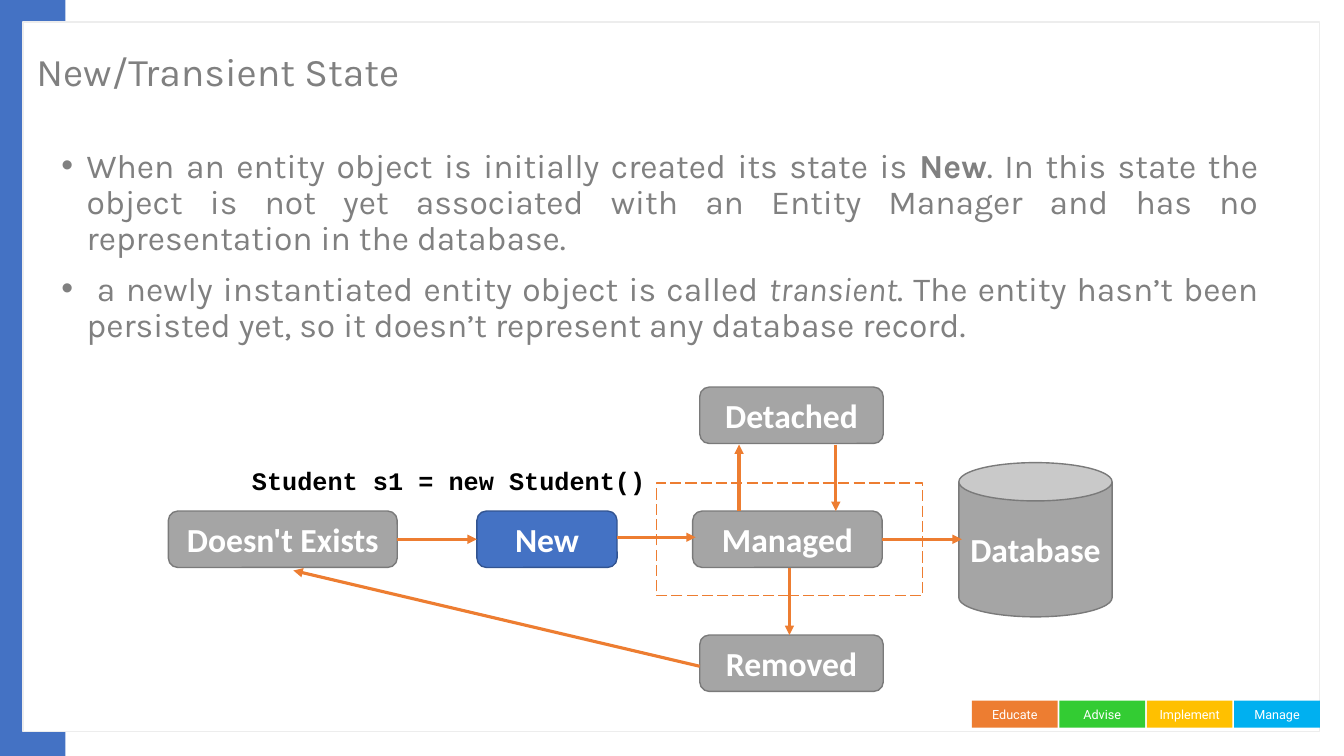
"""Build the New/Transient State slide with its entity life-cycle diagram."""
from typing import NamedTuple, Optional

from lxml import etree
from pptx import Presentation, util as u
from pptx.dml.color import RGBColor
from pptx.enum import dml, shapes, text
from pptx.oxml.ns import qn

BLUE, ORANGE, GRAY, WHITE = "4472C4", "ED7D31", "A5A5A5", "FFFFFF"
GRAY_LINE, TEXT_GRAY = "7A7A7A", "808080"
RECT = shapes.MSO_SHAPE.RECTANGLE
ROUND = shapes.MSO_SHAPE.ROUNDED_RECTANGLE
CAN = shapes.MSO_SHAPE.CAN
LEFT, RIGHT = 1, 3


class Box(NamedTuple):
    left: float
    top: float
    width: float
    height: float
    fill: str
    line: Optional[str] = None
    label: str = ""
    kind: int = RECT
    font: str = "Calibri"
    size: float = 24
    bold: bool = True


class Arrow(NamedTuple):
    start: tuple
    end: tuple
    source: str = ""
    target: str = ""


class Span(NamedTuple):
    text: str
    bold: bool = False
    italic: bool = False


def rgb(value: str) -> RGBColor:
    """Turn a hex string into a colour."""
    return RGBColor.from_string(value)


def set_font(p, name: str, size: float, color: str, bold: bool = False) -> None:
    """Format a whole paragraph."""
    p.font.name, p.font.size, p.font.bold = name, u.Pt(size), bold
    p.font.color.rgb = rgb(color)


def place(sp, left: float, top: float, width: float, height: float) -> None:
    """Move and size a placeholder."""
    sp.left, sp.top = u.Inches(left), u.Inches(top)
    sp.width, sp.height = u.Inches(width), u.Inches(height)


def add_box(s, box: Box):
    """Draw one box with its optional outline and label."""
    sp = s.shapes.add_shape(box.kind, *map(u.Inches, box[:4]))
    sp.shadow.inherit = False
    sp.fill.solid()
    sp.fill.fore_color.rgb = rgb(box.fill)
    if box.line:
        sp.line.color.rgb = rgb(box.line)
        sp.line.width = u.Pt(1)
    else:
        sp.line.fill.background()
    if box.label:
        tf = sp.text_frame
        tf.margin_left = tf.margin_right = 0
        tf.word_wrap = True
        tf.vertical_anchor = text.MSO_ANCHOR.MIDDLE
        p = tf.paragraphs[0]
        p.text = box.label
        p.alignment = text.PP_ALIGN.CENTER
        set_font(p, box.font, box.size, WHITE, box.bold)
    return sp


def add_arrow(s, arrow: Arrow, states: dict) -> None:
    """Draw one arrow, joined to the states it names."""
    c = s.shapes.add_connector(shapes.MSO_CONNECTOR.STRAIGHT,
                               *map(u.Inches, arrow.start + arrow.end))
    if arrow.source:
        c.begin_connect(states[arrow.source], RIGHT)
    if arrow.target:
        c.end_connect(states[arrow.target], LEFT)
    c.line.color.rgb = rgb(ORANGE)
    c.line.width = u.Pt(2.25)
    etree.SubElement(c.line._get_or_add_ln(), qn("a:tailEnd"), type="triangle")
    etree.SubElement(c._element.spPr, qn("a:effectLst"))


def add_bullet(p, spans: list) -> None:
    """Fill one justified bullet paragraph."""
    for span in spans:
        r = p.add_run()
        r.text = span.text
        if span.bold:
            r.font.bold = True
        if span.italic:
            r.font.italic = True
    p.alignment = text.PP_ALIGN.JUSTIFY
    p.line_spacing, p.space_before = 0.9, u.Pt(10)
    set_font(p, "Karla", 24, TEXT_GRAY)
    pPr = p._p.get_or_add_pPr()
    pPr.set("marL", str(u.Inches(0.25)))
    pPr.set("indent", str(u.Inches(-0.25)))
    font = etree.Element(qn("a:buFont"), typeface="Arial")
    bullet = etree.Element(qn("a:buChar"), char="•")
    pPr.find(qn("a:defRPr")).addprevious(font)
    font.addnext(bullet)


TAGS = [("Educate", ORANGE), ("Advise", "33CC33"), ("Implement", "FFC000"), ("Manage", "00B0F0")]
FRAME = [Box(0, 0, 0.65, 7.5, BLUE), Box(0.23, 0.22, 12.86, 7.04, WHITE, "EDEDED")] + [
    Box(9.64 + i * 0.867, 6.95, 0.85, 0.27, color, None, label, RECT, "Roboto", 9, False)
    for i, (label, color) in enumerate(TAGS)]
BULLETS = [
    [Span("When an entity object is initially created its state is "), Span("New", bold=True),
     Span(". In this state the object is not yet associated with an Entity Manager "
          "and has no representation in the database. ")],
    [Span(" a newly instantiated entity object is called "), Span("transient", italic=True),
     Span(". The entity hasn’t been persisted yet, so it doesn’t represent any database record.")],
]
STATES = [
    Box(6.87, 5.07, 1.88, 0.56, GRAY, GRAY_LINE, "Managed", ROUND),
    Box(4.73, 5.07, 1.39, 0.56, BLUE, "325491", "New", ROUND),
    Box(1.67, 5.07, 2.27, 0.56, GRAY, GRAY_LINE, "Doesn't Exists", ROUND),
    Box(6.94, 6.3, 1.82, 0.56, GRAY, GRAY_LINE, "Removed", ROUND),
    Box(6.94, 3.84, 1.82, 0.56, GRAY, GRAY_LINE, "Detached", ROUND),
    Box(9.51, 4.59, 1.52, 1.53, GRAY, GRAY_LINE, "Database", CAN),
]
ARROWS = [
    Arrow((3.94, 5.35), (4.73, 5.35), "Doesn't Exists", "New"),
    Arrow((6.12, 5.33), (6.9, 5.33)),
    Arrow((8.75, 5.35), (9.54, 5.35), "Managed"),
    Arrow((8.29, 4.41), (8.29, 5.07)),
    Arrow((7.83, 5.64), (7.83, 6.3)),
    Arrow((7.33, 5.07), (7.33, 4.41)),
    Arrow((6.94, 6.61), (2.91, 5.66)),
]


def main() -> None:
    """Build and save the slide."""
    prs = Presentation()
    prs.slide_width, prs.slide_height = u.Inches(13.33), u.Inches(7.5)
    s = prs.slides.add_slide(prs.slide_layouts[1])
    title, body = s.shapes.title, s.placeholders[1]

    for box in FRAME:
        add_box(s, box)
    for sp in (title, body):
        s.shapes._spTree.append(sp._element)

    place(title, 0.26, 0.3, 10.32, 0.87)
    tf = title.text_frame
    tf.auto_size = text.MSO_AUTO_SIZE.NONE
    tf.vertical_anchor = text.MSO_ANCHOR.MIDDLE
    p = tf.paragraphs[0]
    p.text = "New/Transient State"
    p.alignment, p.line_spacing = text.PP_ALIGN.LEFT, 0.9
    set_font(p, "Karla", 28, TEXT_GRAY)

    place(body, 0.51, 1.43, 12.07, 5.53)
    tf = body.text_frame
    tf.auto_size = text.MSO_AUTO_SIZE.NONE
    for i, spans in enumerate(BULLETS):
        add_bullet(tf.add_paragraph() if i else tf.paragraphs[0], spans)

    context = add_box(s, Box(6.51, 4.79, 2.64, 1.12, WHITE, ORANGE))
    context.line.dash_style = dml.MSO_LINE.LONG_DASH
    states = {box.label: add_box(s, box) for box in STATES}
    for arrow in ARROWS:
        add_arrow(s, arrow, states)

    code = s.shapes.add_textbox(*map(u.Inches, (2.4, 4.57, 4.15, 0.4)))
    code.text_frame.word_wrap = True
    p = code.text_frame.paragraphs[0]
    p.text = "Student s1 = new Student()"
    set_font(p, "Courier New", 18, "000000", True)

    prs.save("out.pptx")


if __name__ == "__main__":
    main()
